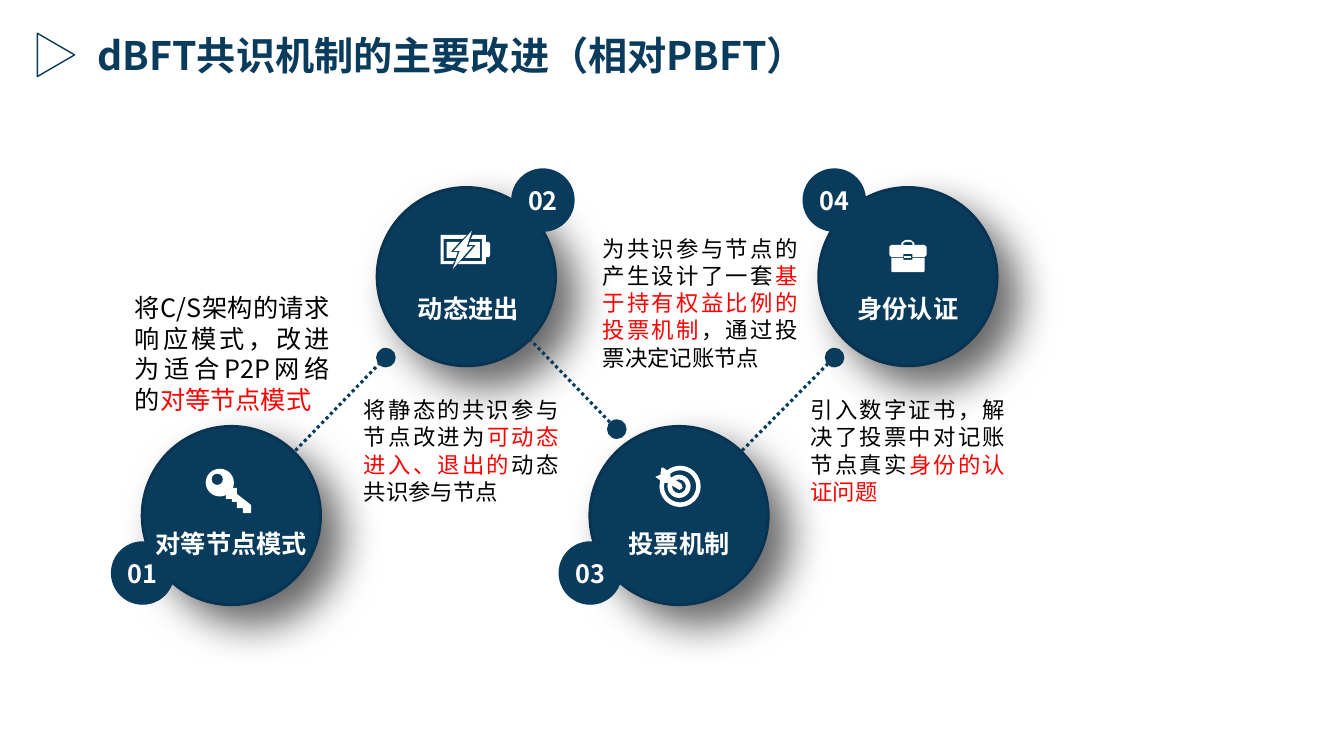
from lxml.etree import SubElement
from pptx import Presentation
from pptx.dml.color import RGBColor
from pptx.enum.dml import MSO_LINE
from pptx.enum.shapes import MSO_CONNECTOR, MSO_SHAPE
from pptx.enum.text import MSO_ANCHOR, MSO_AUTO_SIZE, PP_ALIGN
from pptx.oxml.ns import qn
from pptx.util import Inches, Pt

CELL = Inches(0.1)  # side of one grid cell; all places below count cells
THEME = {
    "font": "Noto Sans CJK SC",
    "navy": RGBColor(0x09, 0x3B, 0x5C),
    "edge": RGBColor(0x08, 0x34, 0x51),
    "white": RGBColor(0xFF, 0xFF, 0xFF),
    "black": RGBColor(0, 0, 0),
    "red": RGBColor(0xFF, 0, 0),
    "title": 28,
    "label": 18,
    "body": 16,
}
LINE_HEIGHT = 1.21
CIRCLE, BADGE, DOT = 17.7, 6.3, 1.95
UPPER, LOWER = 18.6, 42.3

presentation = Presentation()
presentation.slide_width, presentation.slide_height = Inches(13.33), Inches(7.5)
slide = presentation.slides.add_slide(presentation.slide_layouts[6])
shapes = slide.shapes


def add_figure(kind, left, top, width, height, fill=None, line=None, weight=1):
    shape = shapes.add_shape(kind, *[round(n * CELL) for n in (left, top, width, height)])
    shape.shadow.inherit = False
    if fill:
        shape.fill.solid()
        shape.fill.fore_color.rgb = THEME[fill]
    else:
        shape.fill.background()
    if line:
        shape.line.color.rgb = THEME[line]
        shape.line.width = Pt(weight)
    else:
        shape.line.fill.background()
    return shape


def write(shape, text, size="label", color="white", bold=False, align=PP_ALIGN.CENTER, spacing=1):
    """Fill the shape with one paragraph; parts between bars are red."""
    shape.text_frame.word_wrap = True
    paragraph = shape.text_frame.paragraphs[0]
    paragraph.alignment = align
    paragraph.line_spacing = Pt(round(THEME[size] * LINE_HEIGHT * spacing, 1))
    for index, part in enumerate(text.split("|")):
        run = paragraph.add_run()
        run.text = part
        run.font.size = Pt(THEME[size])
        run.font.bold = bold
        run.font.color.rgb = THEME["red" if index % 2 else color]
        run.font.name = THEME["font"]
        SubElement(run._r.get_or_add_rPr(), qn("a:ea"), typeface=THEME["font"])


# number, circle left and top, badge offset, label, label left and offset
steps = [
    ("01", 14.1, LOWER, (-3.1, 11.4), "对等节点模式", 14.1, 8.1),
    ("02", 37.4, UPPER, (13.3, -1.9), "动态进出", 37.6, 8.5),
    ("03", 58.5, LOWER, (-3.1, 11.4), "投票机制", 58.5, 8.1),
    ("04", 81.2, UPPER, (-1.6, -1.9), "身份认证", 81.2, 8.5),
]
for number, left, top, *rest in steps:
    circle = add_figure(MSO_SHAPE.OVAL, left, top, CIRCLE, CIRCLE, "navy", "edge", 2)
    effects = circle._element.spPr.find(qn("a:effectLst"))
    shadow = SubElement(effects, qn("a:outerShdw"), blurRad=str(Pt(30)), dist=str(Pt(20)),
                        dir=str(45 * 60000), algn="tl", rotWithShape="0")
    black = SubElement(shadow, qn("a:srgbClr"), val="000000")
    SubElement(black, qn("a:alpha"), val="60000")

for number, left, top, (across, down), *rest in steps:
    badge = add_figure(MSO_SHAPE.OVAL, left + across, top + down, BADGE, BADGE, "navy")
    frame = badge.text_frame
    frame.margin_left = frame.margin_right = frame.margin_top = frame.margin_bottom = 0
    frame.vertical_anchor = MSO_ANCHOR.MIDDLE
    write(badge, number, bold=True)

# start, end and dot corner of each link
links = [
    ((29.3, 44.7), (37.6, 36.1), (37.3, 34.5)),
    ((52.5, 33.6), (60.5, 41.9), (60.2, 41.6)),
    ((73.6, 44.7), (82.1, 36.1), (81.8, 34.5)),
]
for start, end, dot in links:
    connector = shapes.add_connector(MSO_CONNECTOR.STRAIGHT, *[round(n * CELL) for n in start + end])
    connector.line.color.rgb = THEME["navy"]
    connector.line.width = Pt(2.25)
    connector.line.dash_style = MSO_LINE.ROUND_DOT
    SubElement(connector._element.spPr, qn("a:effectLst"))
    add_figure(MSO_SHAPE.OVAL, *dot, DOT, DOT, "navy")

# key and target: round parts
add_figure(MSO_SHAPE.OVAL, 20.4, 46.5, 2.8, 2.75, "white")
add_figure(MSO_SHAPE.OVAL, 21, 47, 1.1, 1.1, "navy")
for left, top, side, thickness in [(65.4, 46.2, 4.1, 0.11), (66.2, 47.1, 2.3, 0.2)]:
    ring = add_figure(MSO_SHAPE.DONUT, left, top, side, side, "white")
    ring.adjustments[0] = thickness

# icon outlines, in tenths of a cell
outlines = [
    # key shaft
    ("white", [(231, 484), (235, 484), (235, 490), (249, 501), (249, 509), (241, 509), (241, 504),
               (235, 504), (235, 498), (230, 498), (230, 495), (224, 495), (224, 488)]),
    # dart
    ("white", [(674, 486), (662, 479), (658, 479), (650, 473), (655, 471), (656, 464), (658, 464),
               (665, 469), (665, 473), (676, 480), (677, 484)]),
    # briefcase: base, lid, handle opening, clasp
    ("white", [(884, 256), (896, 256), (896, 258), (905, 258), (905, 256), (917, 256), (917, 269),
               (916, 270), (885, 270), (884, 269)]),
    ("white", [(896, 255), (884, 255), (882, 253), (882, 245), (884, 243), (894, 243), (894, 241),
               (898, 238), (903, 238), (907, 241), (907, 243), (917, 243), (919, 245), (919, 253),
               (917, 255), (905, 255), (905, 252), (896, 252)]),
    ("navy", [(896, 243), (896, 241), (899, 240), (903, 240), (905, 241), (905, 243)]),
    ("white", [(897, 254), (904, 254), (904, 256), (897, 256)]),
    # battery: case halves, charge halves, bolt
    ("white", [(440, 259), (440, 237), (459, 237), (463, 233), (437, 233), (437, 262), (449, 262),
               (451, 259)]),
    ("white", [(482, 240), (482, 233), (469, 233), (467, 237), (478, 237), (478, 259), (457, 259),
               (454, 262), (482, 262), (482, 255), (485, 255), (486, 253), (486, 242), (485, 240)]),
    ("white", [(443, 240), (443, 256), (452, 256), (454, 250), (447, 250), (456, 240)]),
    ("white", [(472, 243), (461, 256), (476, 256), (476, 240), (466, 240), (465, 243)]),
    ("white", [(463, 245), (468, 229), (450, 249), (456, 249), (449, 267), (469, 244)]),
]
for color, points in outlines:
    builder = shapes.build_freeform(*points[0], scale=CELL / 10)
    builder.add_line_segments(points[1:], close=True)
    outline = builder.convert_to_shape()
    outline.shadow.inherit = False
    outline.fill.solid()
    outline.fill.fore_color.rgb = THEME[color]
    outline.line.fill.background()

body = {"color": "black", "align": PP_ALIGN.JUSTIFY}
heading = {"size": "title", "color": "navy", "bold": True, "align": PP_ALIGN.LEFT}
texts = [((left, top + down, CIRCLE, 5), label, {"bold": True, "spacing": 1.5})
         for number, circle_left, top, offset, label, left, down in steps]
texts += [
    ((12.4, 28.5, 21.3, 13.1), "将C/S架构的请求响应模式，改进为适合P2P网络的|对等节点模式", body),
    ((35.1, 38.8, 21.3, 11.8), "将静态的共识参与节点改进为|可动态进入、退出的|动态共识参与节点",
     {**body, "size": "body"}),
    ((58.8, 22.8, 21.3, 14.5), "为共识参与节点的产生设计了一套|基于持有权益比例的投票机制|，通过投票决定记账节点",
     {**body, "size": "body"}),
    ((79.4, 38.8, 21.3, 11.8), "引入数字证书，解决了投票中对记账节点真实|身份的认证问题",
     {**body, "size": "body"}),
    ((8.7, 2.6, 86.5, 5.7), "dBFT共识机制的主要改进（相对PBFT）", heading),
]
for place, text, style in texts:
    box = shapes.add_textbox(*[round(n * CELL) for n in place])
    box.text_frame.auto_size = MSO_AUTO_SIZE.SHAPE_TO_FIT_TEXT
    write(box, text, **style)

marker = add_figure(MSO_SHAPE.ISOSCELES_TRIANGLE, 3.4, 3.6, 4.3, 3.7, line="navy")
marker.rotation = 90

presentation.save("out.pptx")
